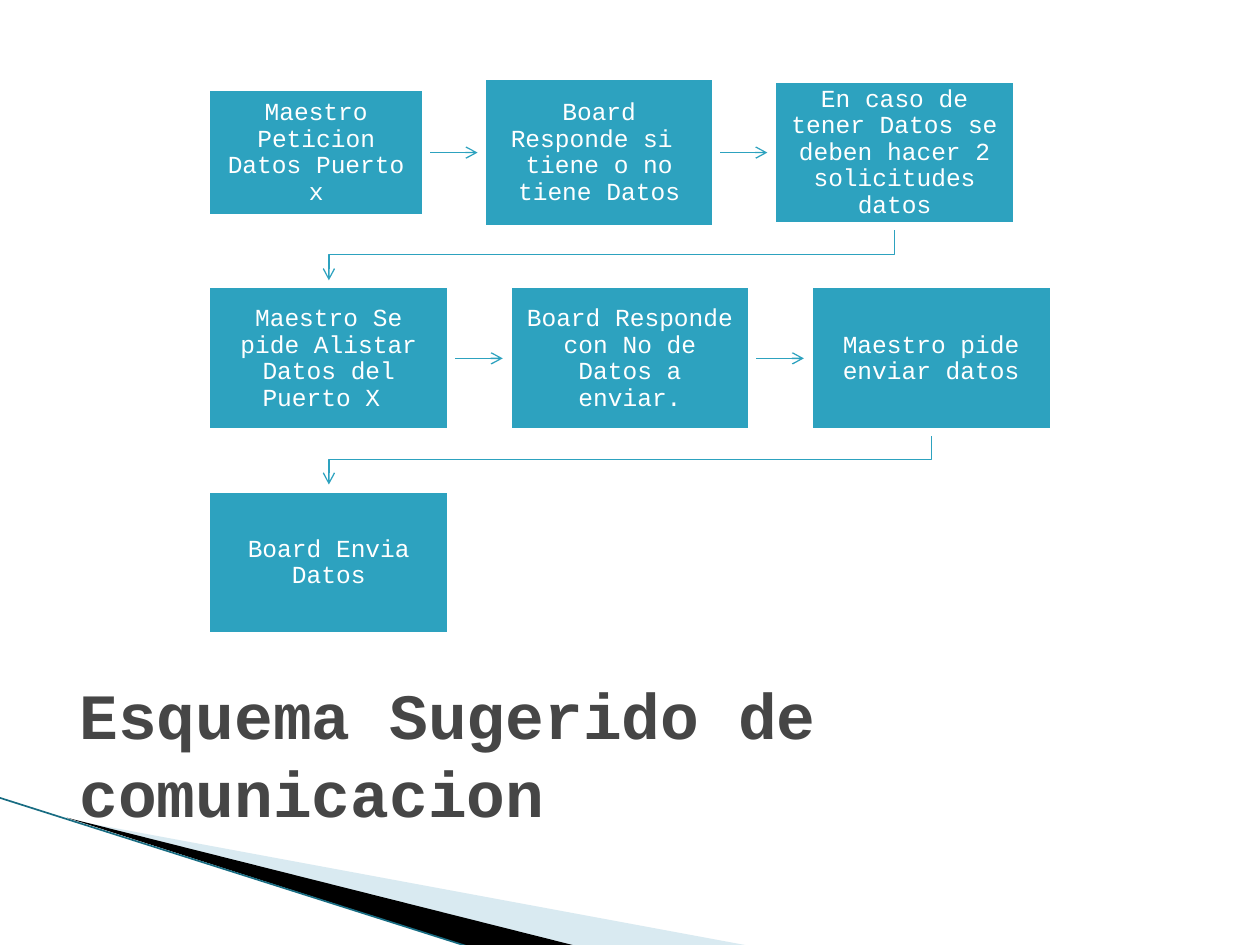
from pptx import Presentation
from pptx.dml.color import RGBColor
from pptx.enum.shapes import MSO_CONNECTOR as Link, MSO_SHAPE as Form
from pptx.enum.text import MSO_ANCHOR as Anchor, PP_ALIGN as Align
from pptx.oxml.ns import qn
from pptx.util import Pt
from lxml.etree import SubElement as Sub


def tint(code):
    return RGBColor.from_string(code)


class Board:
    font = "Courier New"
    teal = "2DA2BF"
    white = "FFFFFF"

    def __init__(self, slide):
        self.slide = slide
        self.shapes = slide.shapes

    def label(self, shape, text, size, color, bold=False):
        frame = shape.text_frame
        frame.text = text
        frame.word_wrap = True
        frame.vertical_anchor = Anchor.MIDDLE
        para = frame.paragraphs[0]
        font = para.runs[0].font
        font.name, font.size, font.bold = self.font, Pt(size), bold
        font.color.rgb = tint(color)
        return para

    def title(self, text, x, y, w, h):
        box = self.shapes.add_textbox(Pt(x), Pt(y), Pt(w), Pt(h))
        self.label(box, text, 36.9, "464646", True)

    def box(self, text, x, y, w, h):
        box = self.shapes.add_shape(Form.RECTANGLE, Pt(x), Pt(y), Pt(w), Pt(h))
        box.shadow.inherit = False
        box.fill.solid()
        box.fill.fore_color.rgb = tint(self.teal)
        box.line.color.rgb = tint(self.white)
        box.line.width = Pt(4.33)
        para = self.label(box, text, 14, self.white)
        para.alignment = Align.CENTER
        para.line_spacing = 0.9
        frame = box.text_frame
        frame.margin_left = frame.margin_right = Pt(7.9)
        frame.margin_top = frame.margin_bottom = Pt(7.9)
        return box

    def line(self, start, end, color, width):
        ends = [Pt(n) for n in (*start, *end)]
        line = self.shapes.add_connector(Link.STRAIGHT, *ends)
        line.line.color.rgb = tint(color)
        line.line.width = Pt(width)
        Sub(line._element.spPr, qn("a:effectLst"))
        return line

    def head(self, shape):
        ln = shape._element.spPr.get_or_add_ln()
        Sub(ln, qn("a:tailEnd"), type="arrow")

    def arrow(self, x, y, w):
        line = self.line((x, y), (x + w, y), self.teal, 0.75)
        self.head(line)
        return line

    def trace(self, points, close):
        first, *rest = [(Pt(x), Pt(y)) for x, y in points]
        pen = self.shapes.build_freeform(*first)
        pen.add_line_segments(rest, close=close)
        shape = pen.convert_to_shape()
        shape.shadow.inherit = False
        return shape

    def elbow(self, points):
        shape = self.trace(points, False)
        shape.fill.background()
        shape.line.color.rgb = tint(self.teal)
        shape.line.width = Pt(0.75)
        self.head(shape)

    def wedge(self, points, color, alpha=100):
        shape = self.trace(points, True)
        shape.fill.solid()
        shape.fill.fore_color.rgb = tint(color)
        shape.line.fill.background()
        if alpha < 100:
            fill = shape._element.spPr.find(qn("a:solidFill"))
            Sub(fill[0], qn("a:alpha"), val=str(alpha * 1000))


LEFT, GAP, REACH = 118.1, 32.4, 29.5
WIDE, HIGH = 139.7, 84.2
ROWS = [
    (87.2, [
        ("Maestro Peticion Datos Puerto x", 125.3, 74.9),
        ("Board Responde si  tiene o no tiene Datos", 133.2, 87.1),
        ("En caso de tener Datos se deben hacer 2 solicitudes datos",
         WIDE, HIGH),
    ]),
    (204.8, [
        ("Maestro Se pide Alistar Datos del Puerto X ", WIDE, HIGH),
        ("Board Responde con No de Datos a enviar.", WIDE, HIGH),
        ("Maestro pide enviar datos", WIDE, HIGH),
    ]),
    (321.5, [("Board Envia Datos", WIDE, HIGH)]),
]


def flow(board):
    for row, (mid, steps) in enumerate(ROWS):
        x = LEFT
        for step, (text, w, h) in enumerate(steps):
            top, arrow = mid - h / 2, None
            if step < len(steps) - 1:
                arrow = board.arrow(x + w, mid, REACH)
            elif row < len(ROWS) - 1:
                low = mid + h / 2
                tip = ROWS[row + 1][0] - HIGH / 2 - 2.5
                turn = (low + tip) / 2 + 0.7
                start, end = x + w / 2, LEFT + WIDE / 2
                board.elbow([(start, low), (start, turn),
                             (end, turn), (end, tip)])
            box = board.box(text, x, top, w, h)
            if arrow:
                arrow.begin_connect(box, 3)
            x += w + GAP


def main():
    deck = Presentation()
    deck.slide_width, deck.slide_height = Pt(720), Pt(540)
    board = Board(deck.slides.add_slide(deck.slide_layouts[6]))
    board.wedge([(39.6, 468.4), (428.4, 540.5), (328.3, 540.5)], "A0CBDC", 40)
    board.wedge([(38.2, 467.3), (329, 540.5), (267.8, 541)], "000000")
    board.line((-0.5, 455.8), (267.8, 541), "186C82", 0.95)
    board.title("Esquema Sugerido de comunicacion", 38.2, 388.8, 644.4, 82.8)
    flow(board)
    deck.save("out.pptx")


if __name__ == "__main__":
    main()
